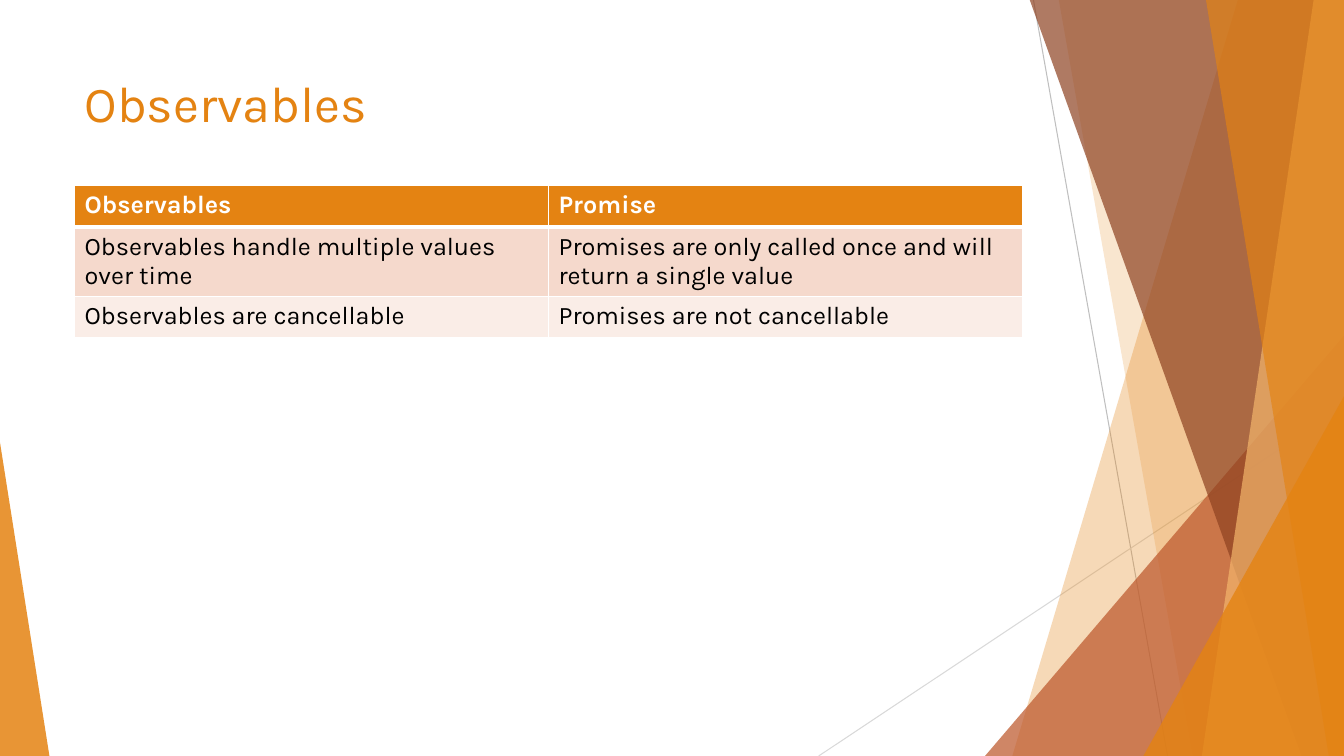
import pptx
import pptx.dml.color
import pptx.enum.shapes
import pptx.enum.text
import pptx.oxml
import pptx.oxml.ns
import pptx.util
from pptx.util import Inches

WIDE, HIGH = 13.33, 7.5
ORANGE, RUST, BROWN, PEACH = "E48312", "BD582C", "8E4221", "F3B56C"
WHITE, BLACK = "FFFFFF", "000000"
NS = pptx.oxml.ns.nsdecls("a")

LINES = [
    ((10.25, 0), (11.58, HIGH), "BFBFBF"),
    ((WIDE, 4.03), (8.12, HIGH), "D9D9D9"),
]
BANDS = [
    ("band", (12.28, 10.04), ORANGE, 30),
    ("band", (10.5, 11.83), ORANGE, 20),
    ("wedge", (9.77, 3.33, 3.56, 4.17, 1), RUST, 72),
    ("band", (10.21, 12.91), BROWN, 70),
    ("band", (13.03, 11.92), PEACH, 70),
    ("band", (11.96, 13.18), ORANGE, 65),
    ("wedge", (11.34, 3.93, 1.99, 3.57, 1), ORANGE, 80),
    ("wedge", (0, 4.39, 0.49, 3.11, 0), ORANGE, 85),
]
ROWS = [
    (0.41, ORANGE, WHITE, True, ("Observables", "Promise")),
    (0.69, "F5D9CC", BLACK, False, (
        "Observables handle multiple values over time",
        "Promises are only called once and will return a single value")),
    (0.41, "FAEDE7", BLACK, False, (
        "Observables are cancellable", "Promises are not cancellable")),
]


def tint(fmt, code, alpha=100):
    """Give a fill or line a solid colour, clear in part if asked."""
    fill = getattr(fmt, "fill", fmt)
    fill.solid()
    fill.fore_color.rgb = pptx.dml.color.RGBColor.from_string(code)
    if alpha < 100:
        node = fill._xPr.find(".//" + pptx.oxml.ns.qn("a:srgbClr"))
        node.append(pptx.oxml.parse_xml(f'<a:alpha {NS} val="{alpha * 1000}"/>'))


def write(frame, text, code, form):
    """Put one run of styled text in a frame."""
    run = frame.paragraphs[0].add_run()
    run.text = text
    for key, value in {"name": "Karla", **form}.items():
        setattr(run.font, key, value)
    tint(run.font, code)


def stroke(slide, start, end, code):
    """Draw a thin straight line."""
    ends = [Inches(n) for n in (*start, *end)]
    line = slide.shapes.add_connector(
        pptx.enum.shapes.MSO_CONNECTOR.STRAIGHT, *ends)
    line.line.width = pptx.util.Pt(0.75)
    tint(line.line, code)
    line._element.spPr.append(pptx.oxml.parse_xml(f"<a:effectLst {NS}/>"))


def band(slide, top, foot):
    """Build a band that runs from a slanted left side to the slide edge."""
    spots = [(top, -0.01), (WIDE, -0.01), (WIDE, HIGH), (foot, HIGH)]
    first, *rest = [(Inches(x), Inches(y)) for x, y in spots]
    path = slide.shapes.build_freeform(*first)
    path.add_line_segments(rest, close=True)
    return path.convert_to_shape()


def wedge(slide, left, top, width, height, peak):
    """Add a triangle with its peak at one side."""
    shape = slide.shapes.add_shape(
        pptx.enum.shapes.MSO_SHAPE.ISOSCELES_TRIANGLE,
        *map(Inches, (left, top, width, height)))
    shape.adjustments[0] = peak
    return shape


def paint(shape, code, alpha):
    """Fill a shape and drop its outline and shadow."""
    tint(shape, code, alpha)
    shape.line.fill.background()
    shape.shadow.inherit = False


def title(slide, text):
    """Add the title box."""
    box = slide.shapes.add_textbox(*map(Inches, (0.74, 0.67, 9.4, 1.44)))
    frame = box.text_frame
    form = {"word_wrap": True,
            "auto_size": pptx.enum.text.MSO_AUTO_SIZE.NONE,
            "vertical_anchor": pptx.enum.text.MSO_ANCHOR.TOP}
    for key, value in form.items():
        setattr(frame, key, value)
    write(frame, text, ORANGE, {"size": pptx.util.Pt(36)})


def edge(cell, side, width):
    """Add a white border to one side of a cell."""
    cell._tc.get_or_add_tcPr().append(pptx.oxml.parse_xml(
        f'<a:ln{side} {NS} w="{pptx.util.Pt(width)}"><a:solidFill>'
        f'<a:srgbClr val="{WHITE}"/></a:solidFill></a:ln{side}>'))


def grid(slide, rows):
    """Add the table, with a thick rule below its first row."""
    high = sum(row[0] for row in rows)
    table = slide.shapes.add_table(
        len(rows), 2, *map(Inches, (0.74, 1.84, 9.4, high))).table
    for i, (tall, back, ink, bold, texts) in enumerate(rows):
        table.rows[i].height = Inches(tall)
        rules = {"L": 1, "R": 1, "T": 3 if i == 1 else 1, "B": 3 if i == 0 else 1}
        for j, text in enumerate(texts):
            cell = table.cell(i, j)
            for side, width in rules.items():
                edge(cell, side, width)
            tint(cell, back)
            write(cell.text_frame, text, ink,
                  {"size": pptx.util.Pt(18), "bold": bold})


def main():
    """Build the slide and save it."""
    deck = pptx.Presentation()
    deck.slide_width, deck.slide_height = Inches(WIDE), Inches(HIGH)
    slide = deck.slides.add_slide(deck.slide_layouts[6])
    for line in LINES:
        stroke(slide, *line)
    kinds = {"band": band, "wedge": wedge}
    for kind, size, code, alpha in BANDS:
        paint(kinds[kind](slide, *size), code, alpha)
    title(slide, "Observables")
    grid(slide, ROWS)
    deck.save("out.pptx")


if __name__ == "__main__":
    main()
